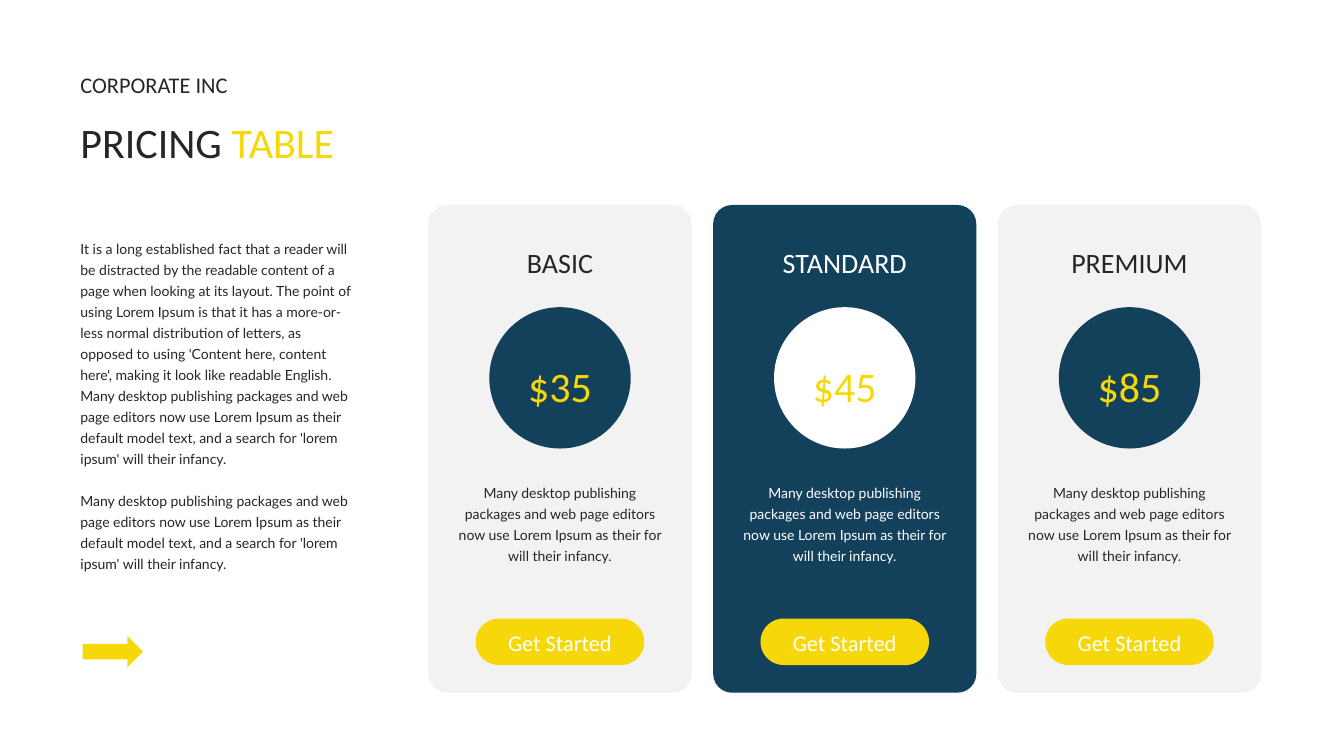
from pptx import Presentation
from pptx.dml.color import RGBColor
from pptx.enum.shapes import MSO_SHAPE
from pptx.enum.text import MSO_AUTO_SIZE, PP_ALIGN
from pptx.util import Pt

ROUNDED = MSO_SHAPE.ROUNDED_RECTANGLE
OVAL = MSO_SHAPE.OVAL
ARROW = MSO_SHAPE.RIGHT_ARROW
LEFT = PP_ALIGN.LEFT
CENTER = PP_ALIGN.CENTER
GROW = MSO_AUTO_SIZE.SHAPE_TO_FIT_TEXT

COLORS = {
    "navy": "13415C",
    "yellow": "F6D80A",
    "gray": "F2F2F2",
    "ink": "262626",
    "white": "FFFFFF",
}

STYLES = {
    "title": {"name": "Calibri", "size": Pt(30), "line": 45},
    "company": {"name": "Calibri", "size": Pt(16), "line": 20},
    "plan": {"name": "Calibri", "size": Pt(20), "line": 18},
    "button": {"name": "Calibri", "size": Pt(16), "line": 18},
    "body": {"name": "Lato", "size": Pt(10), "line": 15},
}

PLANS = [
    ("BASIC", "$35", "gray", "navy", "ink"),
    ("STANDARD", "$45", "navy", "white", "white"),
    ("PREMIUM", "$85", "gray", "navy", "ink"),
]
FIRST_CENTER = 400
CARD_PITCH = 203.4
TEXT_LEFT = 50.4

INTRO = (
    "It is a long established fact that a reader will be distracted by the "
    "readable content of a page when looking at its layout. The point of using "
    "Lorem Ipsum is that it has a more-or-less normal distribution of letters, "
    "as opposed to using 'Content here, content here', making it look like "
    "readable English. "
)
PACKAGES = (
    "Many desktop publishing packages and web page editors now use Lorem Ipsum "
    "as their default model text, and a search for 'lorem ipsum' will their infancy."
)
PLAN_TEXT = (
    "Many desktop publishing packages and web page editors now use Lorem Ipsum "
    "as their for will their infancy."
)


def color(name):
    return RGBColor.from_string(COLORS[name])


def add_block(slide, kind, left, top, width, height, fill, rounding=None):
    shape = slide.shapes.add_shape(kind, Pt(left), Pt(top), Pt(width), Pt(height))
    shape.shadow.inherit = False
    shape.fill.solid()
    shape.fill.fore_color.rgb = color(fill)
    shape.line.fill.background()
    if rounding is not None:
        shape.adjustments[0] = rounding


def add_text(slide, left, top, width, height, style, paragraphs, alignment=LEFT):
    box = slide.shapes.add_textbox(Pt(left), Pt(top), Pt(width), Pt(height))
    frame = box.text_frame
    frame.word_wrap = True
    frame.auto_size = GROW
    font_values = dict(STYLES[style])
    line = font_values.pop("line")
    for index, runs in enumerate(paragraphs):
        paragraph = frame.add_paragraph() if index else frame.paragraphs[0]
        paragraph.alignment = alignment
        paragraph.line_spacing = Pt(line)
        paragraph.space_before = Pt(line if index else 0)
        for text, text_color in runs:
            run = paragraph.add_run()
            run.text = text
            run.font.color.rgb = color(text_color)
            for attribute, value in font_values.items():
                setattr(run.font, attribute, value)


def add_plan(slide, center, name, price, card_fill, circle_fill, text_color):
    def block(kind, top, width, height, fill, rounding=None):
        add_block(slide, kind, center - width / 2, top, width, height, fill, rounding)

    def label(top, width, height, style, text, label_color):
        add_text(slide, center - width / 2, top, width, height, style,
                 [[(text, label_color)]], CENTER)

    block(ROUNDED, 146.4, 188, 348.4, card_fill, 0.072)
    label(178, 134, 26.6, "plan", name, text_color)
    block(OVAL, 219.4, 101, 101, circle_fill)
    label(244.8, 79.2, 50.4, "title", price, "yellow")
    label(339.8, 161.3, 66.2, "body", PLAN_TEXT, text_color)
    block(ROUNDED, 441.8, 120.4, 33.2, "yellow", 0.5)
    label(447.1, 101, 25.9, "button", "Get Started", "white")


def main():
    presentation = Presentation()
    presentation.slide_width = Pt(960)
    presentation.slide_height = Pt(540)
    slide = presentation.slides.add_slide(presentation.slide_layouts[6])

    add_text(slide, TEXT_LEFT, 46.1, 140.4, 27.4, "company",
             [[("CORPORATE INC", "ink")]])
    add_text(slide, TEXT_LEFT, 70.6, 286.6, 50.4, "title",
             [[("PRICING ", "ink"), ("TABLE", "yellow")]])
    add_text(slide, TEXT_LEFT, 165.6, 211, 247.7, "body",
             [[(INTRO + PACKAGES, "ink")], [(PACKAGES, "ink")]])
    add_block(slide, ARROW, 59, 454.3, 43.2, 22.3, "yellow")

    for index, plan in enumerate(PLANS):
        add_plan(slide, FIRST_CENTER + index * CARD_PITCH, *plan)

    presentation.save("out.pptx")


if __name__ == "__main__":
    main()
